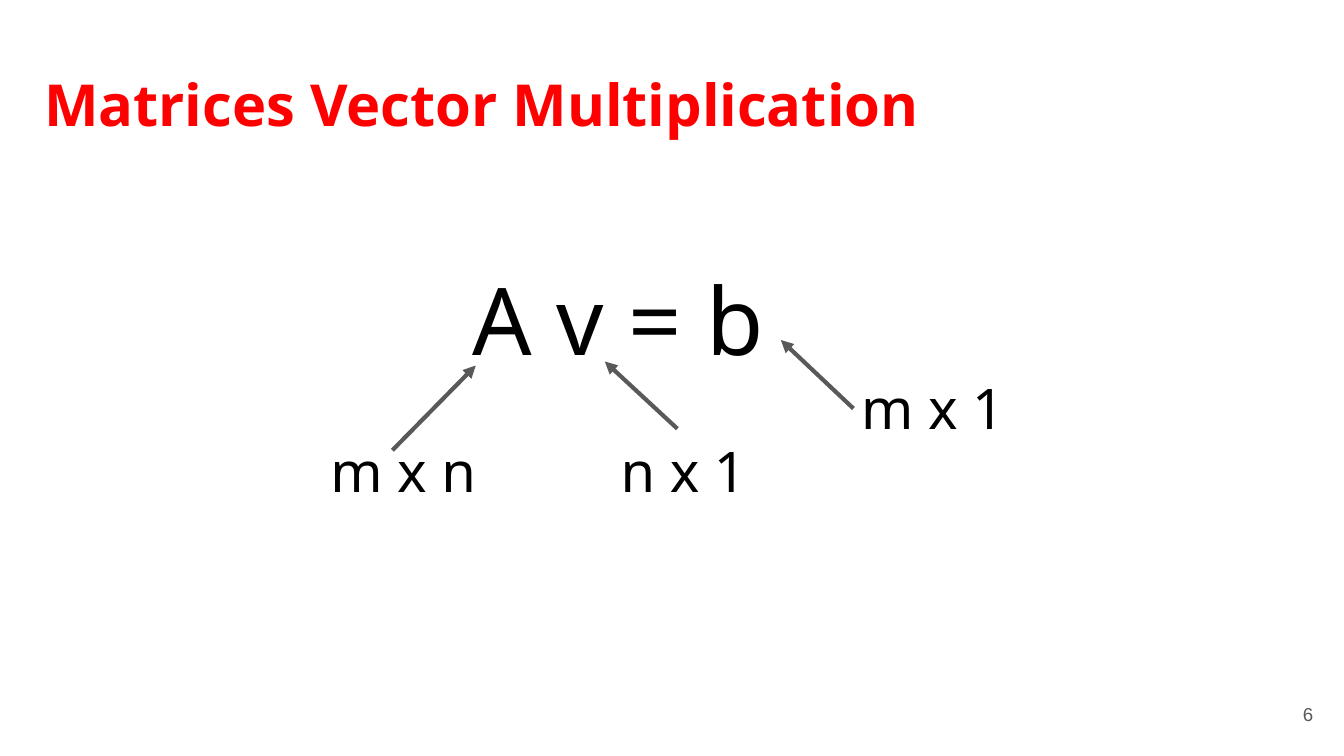
from dataclasses import dataclass

from lxml.etree import SubElement
from pptx import Presentation
from pptx.dml.color import RGBColor
from pptx.enum.shapes import MSO_CONNECTOR
from pptx.enum.text import MSO_ANCHOR, MSO_AUTO_SIZE, PP_ALIGN
from pptx.oxml.ns import qn
from pptx.slide import Slide
from pptx.util import Inches, Pt


@dataclass(frozen=True)
class Theme:
    red: str = "FF0000"
    black: str = "000000"
    gray: str = "595959"
    font: str = "Noto Sans"
    number_font: str = "Arial"
    title_size: int = 31
    equation_size: int = 50
    label_size: int = 30
    number_size: int = 10
    arrow_width: float = 2.25


THEME = Theme()


@dataclass(frozen=True)
class TextItem:
    text: str
    left: float
    top: float
    width: float
    height: float
    size: int
    color: str = THEME.black
    font: str = THEME.font
    bold: bool = False
    indent: float = 0.5
    align: PP_ALIGN = PP_ALIGN.LEFT
    anchor: MSO_ANCHOR = MSO_ANCHOR.TOP
    grow: bool = True


@dataclass(frozen=True)
class Dimension:
    text: str
    left: float
    top: float
    start: tuple[float, float]
    end: tuple[float, float]


TEXTS = [
    TextItem("6", 9.27, 5.1, 0.6, 0.43, THEME.number_size, THEME.gray,
             THEME.number_font, indent=0, align=PP_ALIGN.RIGHT,
             anchor=MSO_ANCHOR.MIDDLE, grow=False),
    TextItem("Matrices Vector Multiplication", 0.23, 0.41, 7.34, 0.72,
             THEME.title_size, THEME.red, bold=True, indent=0),
    TextItem("A v = b", 2.92, 1.85, 3.74, 1.04, THEME.equation_size),
]

DIMENSIONS = [
    Dimension("m x n", 1.86, 3.15, (2.92, 3.35), (3.54, 2.72)),
    Dimension("n x 1", 4.02, 3.15, (5.04, 3.19), (4.5, 2.69)),
    Dimension("m x 1", 5.81, 2.68, (6.35, 3.04), (5.81, 2.53)),
]


def add_text(s: Slide, item: TextItem) -> None:
    sp = s.shapes.add_textbox(Inches(item.left), Inches(item.top),
                              Inches(item.width), Inches(item.height))
    tf = sp.text_frame
    tf.word_wrap = True
    tf.auto_size = MSO_AUTO_SIZE.SHAPE_TO_FIT_TEXT if item.grow else MSO_AUTO_SIZE.NONE
    tf.vertical_anchor = item.anchor
    tf.margin_left = tf.margin_right = tf.margin_top = tf.margin_bottom = Inches(0.1)
    p = tf.paragraphs[0]
    p.text = item.text
    p.alignment = item.align
    p.font.name = item.font
    p.font.size = Pt(item.size)
    p.font.bold = item.bold
    p.font.color.rgb = RGBColor.from_string(item.color)
    if item.indent:
        pPr = p._p.get_or_add_pPr()
        pPr.set("marL", str(Inches(item.indent)))
        pPr.set("indent", "0")


def add_arrow(s: Slide, start: tuple[float, float], end: tuple[float, float]) -> None:
    cxn = s.shapes.add_connector(MSO_CONNECTOR.STRAIGHT,
                                 *(Inches(v) for v in start + end))
    cxn.line.color.rgb = RGBColor.from_string(THEME.gray)
    cxn.line.width = Pt(THEME.arrow_width)
    SubElement(cxn.line._get_or_add_ln(), qn("a:tailEnd"), type="triangle")
    SubElement(cxn._element.spPr, qn("a:effectLst"))


def add_dimension(s: Slide, dim: Dimension) -> None:
    add_text(s, TextItem(dim.text, dim.left, dim.top, 2.33, 0.71, THEME.label_size))
    add_arrow(s, dim.start, dim.end)


prs = Presentation()
prs.slide_width = Inches(10)
prs.slide_height = prs.slide_width * 9 // 16
s = prs.slides.add_slide(prs.slide_layouts[6])
for item in TEXTS:
    add_text(s, item)
for dim in DIMENSIONS:
    add_dimension(s, dim)
prs.save("out.pptx")
